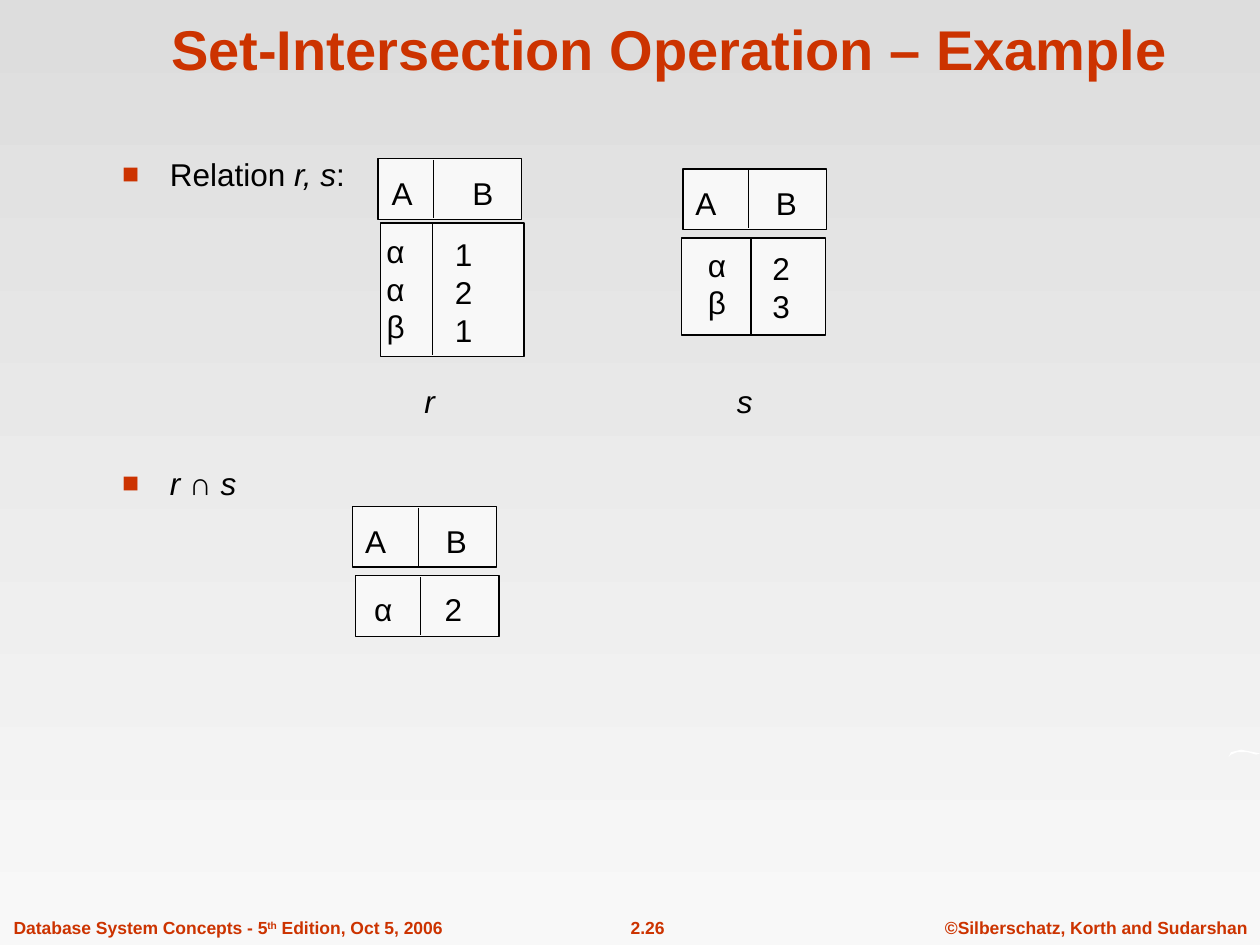
from lxml.etree import SubElement
from pptx import Presentation
from pptx.dml.color import RGBColor
from pptx.enum.shapes import MSO_CONNECTOR, MSO_SHAPE
from pptx.enum.text import MSO_ANCHOR, PP_ALIGN
from pptx.oxml.ns import qn
from pptx.util import Inches, Pt

COLORS = {
    "red": "CC3300",
    "ink": "000000",
    "box": "F8F8F8",
    "top": "DDDDDD",
    "white": "FFFFFF",
}
FONT = "Arial"
WIDE = 1.14
ROW = 0.48


def color(name):
    """Return the named colour."""
    return RGBColor.from_string(COLORS[name])


def add_run(para, text, size=18, tint="ink", bold=False, italic=False):
    """Add one styled run to a paragraph."""
    run = para.add_run()
    run.text = text
    font = run.font
    font.name, font.size = FONT, Pt(size)
    font.bold, font.italic = bold, italic
    font.color.rgb = color(tint)
    return run


def add_box(slide, left, top, width, height, wrap=False):
    """Add an empty text box and return its frame."""
    frame = slide.shapes.add_textbox(
        Inches(left), Inches(top), Inches(width), Inches(height)).text_frame
    frame.word_wrap = wrap
    return frame


def add_lines(slide, left, top, width, lines, italic=False):
    """Stack centred lines in a text box."""
    frame = add_box(slide, left, top, width, 0.1 + 0.3 * len(lines))
    for i, line in enumerate(lines):
        para = frame.add_paragraph() if i else frame.paragraphs[0]
        para.alignment = PP_ALIGN.CENTER
        add_run(para, line, italic=italic)


def add_pair(slide, left, top, width, pair, stop):
    """Set two values on one line, the second at a tab stop."""
    para = add_box(slide, left, top, width, 0.4).paragraphs[0]
    tabs = SubElement(para._p.get_or_add_pPr(), qn("a:tabLst"))
    SubElement(tabs, qn("a:tab"), pos=str(Inches(stop)), algn="l")
    add_run(para, "\t".join(pair))


def add_cell(slide, left, top, height, split):
    """Draw a box with a vertical divider."""
    box = slide.shapes.add_shape(
        MSO_SHAPE.RECTANGLE, Inches(left), Inches(top),
        Inches(WIDE), Inches(height))
    box.shadow.inherit = False
    box.fill.solid()
    box.fill.fore_color.rgb = color("box")
    rule = slide.shapes.add_connector(
        MSO_CONNECTOR.STRAIGHT, Inches(left + split), Inches(top + 0.01),
        Inches(left + split), Inches(top + height - 0.01))
    SubElement(rule._element.spPr, qn("a:effectLst"))
    for item in (box, rule):
        item.line.color.rgb = color("ink")
        item.line.width = Pt(0.75)


def add_head(slide, left, top, split, shift):
    """Draw the header row of a relation."""
    add_cell(slide, left, top, ROW, split)
    add_pair(slide, left + shift, top + 0.07, 1.02, ("A", "B"), 0.64)


def add_bullet(frame, para, before):
    """Give a paragraph a square bullet and a hanging indent."""
    para.space_before = Pt(before)
    props = para._p.get_or_add_pPr()
    props.set("marL", str(Inches(0.38)))
    props.set("indent", str(-Inches(0.38)))
    tint = SubElement(props, qn("a:buClr"))
    SubElement(tint, qn("a:srgbClr"), val=COLORS["red"])
    SubElement(props, qn("a:buSzPct"), val="90000")
    SubElement(props, qn("a:buFont"), typeface=FONT)
    SubElement(props, qn("a:buChar"), char="■")


def add_body(slide):
    """Write the two bullet points."""
    frame = add_box(slide, 0.87, 1.18, 8.58, 5.33, True)
    first, last = frame.paragraphs[0], frame.add_paragraph()
    add_bullet(frame, first, 8)
    add_run(first, "Relation ")
    add_run(first, "r, s", italic=True)
    add_run(first, ":")
    add_bullet(frame, last, 155)
    add_run(last, "r ", italic=True)
    add_run(last, "∩ ")
    add_run(last, "s", italic=True)


def add_foot(slide, left, width, align, parts):
    """Write one footer item; a part may be raised."""
    para = add_box(slide, left, 7.23, width, 0.27).paragraphs[0]
    para.alignment = align
    para.space_before = Pt(6)
    for text, raised in parts:
        run = add_run(para, text, 10, "red", True)
        if raised:
            run._r.get_or_add_rPr().set("baseline", "30000")


def add_curl(slide):
    """Draw the small white stroke at the right edge."""
    points = [(9.77, 5.97), (9.81, 5.96), (9.85, 5.95), (9.9, 5.96),
              (9.95, 5.97), (10, 5.98), (9.97, 5.99), (9.9, 5.97),
              (9.82, 5.97), (9.77, 5.99), (9.75, 6.01)]
    path = slide.shapes.build_freeform(975, 601, Inches(0.01))
    path.add_line_segments([(x * 100, y * 100) for x, y in points])
    curl = path.convert_to_shape()
    curl.shadow.inherit = False
    curl.fill.solid()
    curl.fill.fore_color.rgb = color("white")
    curl.line.fill.background()


def set_back(slide):
    """Fill the background from grey down to near white."""
    fill = slide.background.fill
    fill.gradient()
    fill.gradient_angle = 270
    for stop, name in zip(fill.gradient_stops, ("top", "box")):
        stop.color.rgb = color(name)


def set_title(slide):
    """Place and write the title."""
    title = slide.shapes.title
    title.left, title.top = Inches(0.9), Inches(0.03)
    title.width, title.height = Inches(8.83), Inches(0.67)
    frame = title.text_frame
    frame.vertical_anchor = MSO_ANCHOR.BOTTOM
    para = frame.paragraphs[0]
    para.alignment = PP_ALIGN.CENTER
    add_run(para, "Set-Intersection Operation – Example", 32, "red", True)


def main():
    """Build the slide and save it."""
    deck = Presentation()
    deck.slide_width, deck.slide_height = Inches(10), Inches(7.5)
    slide = deck.slides.add_slide(deck.slide_layouts[5])
    set_back(slide)
    add_foot(slide, 7.38, 2.64, PP_ALIGN.CENTER,
             [("©Silberschatz, Korth and Sudarshan", False)])
    add_foot(slide, 4.65, 0.98, PP_ALIGN.CENTER, [("2.26", False)])
    add_foot(slide, 0.01, 4, PP_ALIGN.LEFT,
             [("Database System Concepts - 5", False), ("th", True),
              (" Edition, Oct 5, 2006", False)])
    add_curl(slide)
    set_title(slide)
    add_body(slide)

    add_head(slide, 3, 1.26, 0.44, 0.01)
    add_cell(slide, 3.02, 1.77, 1.06, 0.41)
    add_lines(slide, 2.96, 1.79, 0.36, "ααβ")
    add_lines(slide, 3.51, 1.82, 0.34, "121")
    add_lines(slide, 3.27, 2.98, 0.28, "r", True)

    add_head(slide, 5.42, 1.34, 0.52, 0)
    add_cell(slide, 5.41, 1.89, 0.77, 0.55)
    add_lines(slide, 5.51, 1.9, 0.36, "αβ")
    add_lines(slide, 6.03, 1.93, 0.34, "23")
    add_lines(slide, 5.75, 2.98, 0.32, "s", True)

    add_head(slide, 2.8, 4.02, 0.52, 0)
    add_cell(slide, 2.82, 4.57, ROW, 0.52)
    add_pair(slide, 2.87, 4.63, 0.91, ("α", "2"), 0.56)
    deck.save("out.pptx")


if __name__ == "__main__":
    main()
